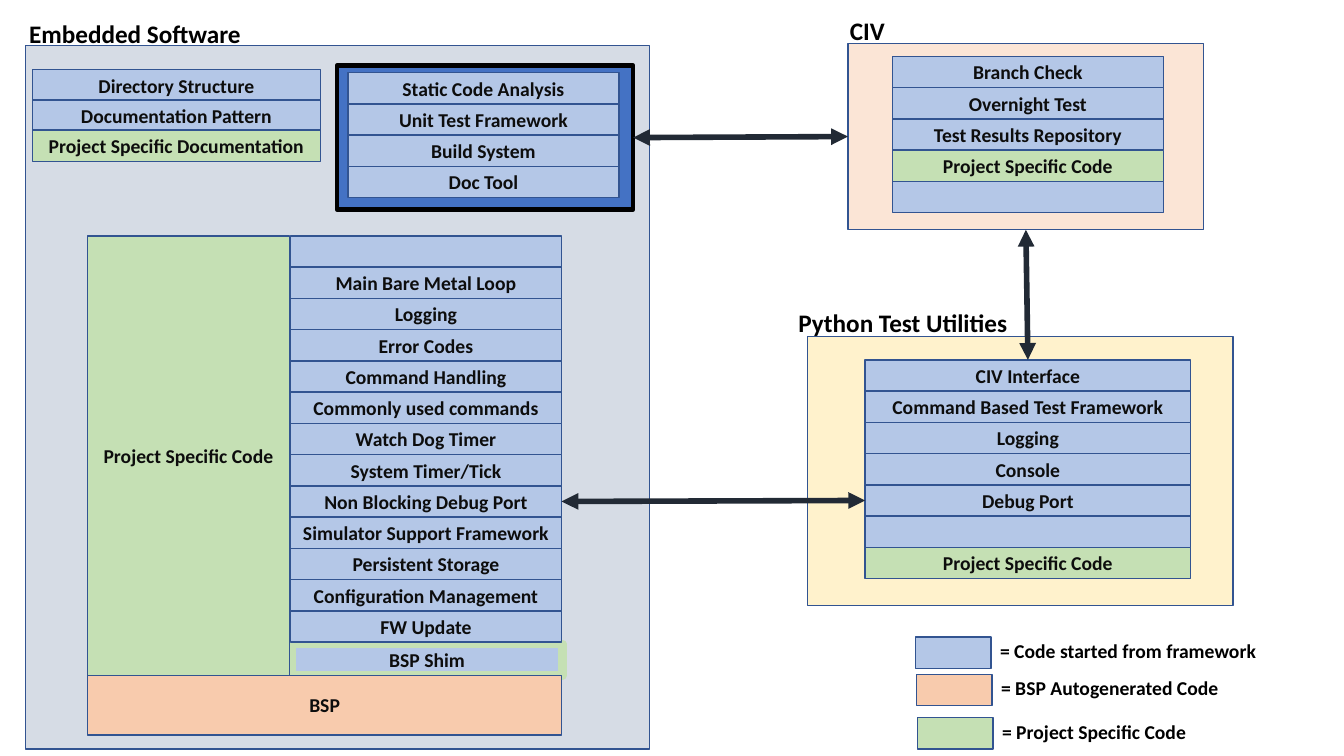
from lxml import etree
from pptx import Presentation
from pptx.dml.color import RGBColor
from pptx.enum import shapes, text
from pptx.oxml import ns
from pptx.util import Inches, Pt

FRAMEWORK = RGBColor(0xB4, 0xC7, 0xE7)
PROJECT = RGBColor(0xC5, 0xE0, 0xB4)
AUTOGENERATED = RGBColor(0xF8, 0xCB, 0xAD)
SOFTWARE = RGBColor(0xD6, 0xDC, 0xE5)
TOOLS = RGBColor(0x44, 0x72, 0xC4)
CIV = RGBColor(0xFB, 0xE5, 0xD6)
UTILITIES = RGBColor(0xFF, 0xF2, 0xCC)
OUTLINE = RGBColor(0x32, 0x54, 0x91)
ARROW = RGBColor(0x22, 0x2A, 0x35)
BOX_TEXT = RGBColor(0x0D, 0x0D, 0x0D)
BLACK = RGBColor(0, 0, 0)
ROW_HEIGHT = 0.31

presentation = Presentation()
presentation.slide_width = Inches(13.33)
presentation.slide_height = Inches(7.5)
slide = presentation.slides.add_slide(presentation.slide_layouts[6])


def write(shape, words, size, color):
    run = shape.text_frame.paragraphs[0].add_run()
    run.text = words
    run.font.name = "Calibri"
    run.font.size = Pt(size)
    run.font.bold = True
    run.font.color.rgb = color


def add_box(left, top, width, height, fill, words="", line=OUTLINE, line_width=1):
    shape = slide.shapes.add_shape(
        shapes.MSO_SHAPE.RECTANGLE, Inches(left), Inches(top), Inches(width), Inches(height))
    shape.shadow.inherit = False
    shape.fill.solid()
    shape.fill.fore_color.rgb = fill
    shape.line.color.rgb = line
    shape.line.width = Pt(line_width)
    if words:
        shape.text_frame.vertical_anchor = text.MSO_ANCHOR.MIDDLE
        shape.text_frame.paragraphs[0].alignment = text.PP_ALIGN.CENTER
        write(shape, words, 14, BOX_TEXT)
    return shape


add_box(0.25, 0.45, 6.19, 6.98, SOFTWARE)
tools_panel = add_box(3.34, 0.65, 2.94, 1.43, TOOLS, line=BLACK, line_width=3)
civ_panel = add_box(8.41, 0.43, 3.53, 1.85, CIV)
add_box(8.01, 3.34, 4.22, 2.67, UTILITIES)

add_box(2.89, 6.39, 2.69, ROW_HEIGHT, FRAMEWORK, "BSP Shim", PROJECT, 6)
add_box(0.87, 2.34, 2, 4.37, PROJECT, "Project Specific Code")

stacks = {
    "documents": (0.32, 0.69, 2.86, 0.3, [
        "Directory Structure", "Documentation Pattern", "Project Specific Documentation"]),
    "tools": (3.45, 0.72, 2.69, 0.31, [
        "Static Code Analysis", "Unit Test Framework", "Build System", "Doc Tool"]),
    "firmware": (2.88, 2.34, 2.69, 0.31, [
        "", "Main Bare Metal Loop", "Logging", "Error Codes", "Command Handling",
        "Commonly used commands", "Watch Dog Timer", "System Timer/Tick",
        "Non Blocking Debug Port", "Simulator Support Framework", "Persistent Storage",
        "Configuration Management", "FW Update"]),
    "civ": (8.85, 0.56, 2.69, 0.31, [
        "Branch Check", "Overnight Test", "Test Results Repository",
        "Project Specific Code", ""]),
    "utilities": (8.58, 3.57, 3.23, 0.31, [
        "CIV Interface", "Command Based Test Framework", "Logging", "Console",
        "Debug Port", "", "Project Specific Code"]),
}
boxes = {}
for stack, (left, top, width, pitch, rows) in stacks.items():
    for index, words in enumerate(rows):
        fill = PROJECT if words.startswith("Project Specific") else FRAMEWORK
        boxes[stack, words] = add_box(
            left, top + index * pitch, width, ROW_HEIGHT, fill, words)

add_box(0.87, 6.7, 4.7, 0.59, AUTOGENERATED, "BSP")

labels = [
    (0.19, 0.13, 2.32, 0.4, "Embedded Software", 18),
    (8.33, 0.1, 0.55, 0.4, "CIV", 18),
    (7.82, 3, 2.29, 0.4, "Python Test Utilities", 18),
]
legend = [
    (9.08, 6.32, FRAMEWORK, 2.75, "= Code started from framework"),
    (9.09, 6.69, AUTOGENERATED, 2.38, "= BSP Autogenerated Code"),
    (9.1, 7.12, PROJECT, 2.04, "= Project Specific Code"),
]
for left, top, fill, width, words in legend:
    add_box(left, top, 0.75, ROW_HEIGHT, fill)
    labels.append((left + 0.74, top - 0.03, width, 0.34, words, 14))

for left, top, width, height, words, size in labels:
    label = slide.shapes.add_textbox(Inches(left), Inches(top), Inches(width), Inches(height))
    label.text_frame.word_wrap = False
    label.text_frame.auto_size = text.MSO_AUTO_SIZE.SHAPE_TO_FIT_TEXT
    write(label, words, size, BLACK)

links = [
    (civ_panel, 1, tools_panel, 3),
    (civ_panel, 2, boxes["utilities", "CIV Interface"], 0),
    (boxes["utilities", "Debug Port"], 1, boxes["firmware", "Non Blocking Debug Port"], 3),
]
for start, start_side, end, end_side in links:
    connector = slide.shapes.add_connector(shapes.MSO_CONNECTOR.STRAIGHT, 0, 0, 0, 0)
    connector.begin_connect(start, start_side)
    connector.end_connect(end, end_side)
    connector.line.color.rgb = ARROW
    connector.line.width = Pt(4)
    line = connector.line._get_or_add_ln()
    for arrowhead in ("a:headEnd", "a:tailEnd"):
        etree.SubElement(line, ns.qn(arrowhead), type="triangle")
    etree.SubElement(connector._element.spPr, ns.qn("a:effectLst"))

presentation.save("out.pptx")
